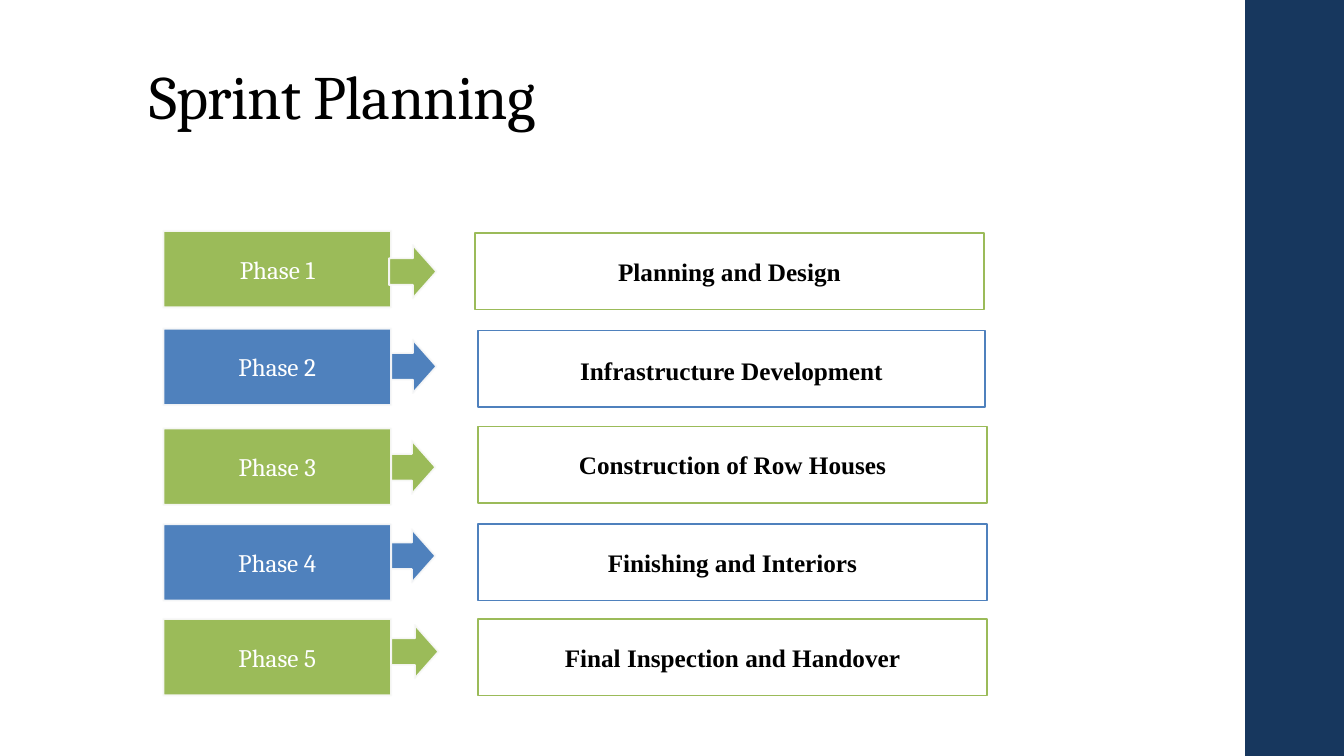
from lxml import etree
from pptx import Presentation
from pptx.dml.color import RGBColor
from pptx.enum.shapes import MSO_SHAPE
from pptx.enum.text import MSO_ANCHOR, MSO_AUTO_SIZE, PP_ALIGN
from pptx.oxml.ns import qn
from pptx.util import Inches, Pt

RECTANGLE = MSO_SHAPE.RECTANGLE
RIGHT_ARROW = MSO_SHAPE.RIGHT_ARROW
CENTER, LEFT = PP_ALIGN.CENTER, PP_ALIGN.LEFT
MIDDLE, BOTTOM = MSO_ANCHOR.MIDDLE, MSO_ANCHOR.BOTTOM

NAVY = RGBColor(0x17, 0x37, 0x5E)
GREEN = RGBColor(0x9B, 0xBB, 0x59)
BLUE = RGBColor(0x4F, 0x81, 0xBD)
OFF_WHITE = RGBColor(0xF9, 0xF9, 0xF9)
WHITE = RGBColor(0xFF, 0xFF, 0xFF)
BLACK = RGBColor(0, 0, 0)

TITLE = "Sprint Planning"
# activity, phase top, arrow (left, top), activity (left, top, width)
PHASES = [
    ("Planning and Design", 2.29, (3.86, 2.43), (4.71, 2.31, 5.05)),
    ("Infrastructure Development", 3.26, (3.86, 3.37), (4.74, 3.28, 5.03)),
    ("Construction of Row Houses", 4.25, (3.85, 4.37), (4.74, 4.23, 5.05)),
    ("Finishing and Interiors", 5.2, (3.85, 5.25), (4.74, 5.2, 5.05)),
    ("Final Inspection and Handover", 6.14, (3.88, 6.2), (4.74, 6.14, 5.05)),
]
PHASE_LEFT, PHASE_WIDTH, BOX_HEIGHT = 1.62, 2.26, 0.76
ARROW_WIDTH, ARROW_HEIGHT = 0.47, 0.53


def add_block(slide, kind, box, fill, line=None, line_width=1.35):
    shape = slide.shapes.add_shape(kind, *[Inches(length) for length in box])
    shape.shadow.inherit = False
    shape.fill.solid()
    shape.fill.fore_color.rgb = fill
    if line is None:
        shape.line.fill.background()
        return shape
    shape.line.color.rgb = line
    shape.line.width = Pt(line_width)
    if line == OFF_WHITE:
        color = shape.line._get_or_add_ln().find(".//" + qn("a:srgbClr"))
        etree.SubElement(color, qn("a:alpha"), val="95000")
    return shape


def write(shape, text, font_name, color, size=18, bold=False, align=CENTER, anchor=MIDDLE):
    frame = shape.text_frame
    frame.text = text
    frame.word_wrap = True
    frame.vertical_anchor = anchor
    paragraph = frame.paragraphs[0]
    paragraph.alignment = align
    font = paragraph.runs[0].font
    font.name, font.size, font.bold = font_name, Pt(size), bold
    font.color.rgb = color
    return paragraph


def add_title(slide):
    title = slide.shapes.title
    title.left, title.top = Inches(1.38), Inches(0.4)
    title.width, title.height = Inches(10.6), Inches(0.97)
    paragraph = write(title, TITLE, "Cambria", BLACK, 44, align=LEFT, anchor=BOTTOM)
    title.text_frame.auto_size = MSO_AUTO_SIZE.NONE
    paragraph.line_spacing = 0.9
    paragraph.runs[0].font._element.set("spc", "-50")


def add_phase(slide, number, activity, phase_top, arrow_place, activity_place):
    color = GREEN if number % 2 else BLUE
    arrow_box = (*arrow_place, ARROW_WIDTH, ARROW_HEIGHT)
    arrow_in_front = number in (1, len(PHASES))
    if not arrow_in_front:
        add_block(slide, RIGHT_ARROW, arrow_box, color, OFF_WHITE)
    phase_box = (PHASE_LEFT, phase_top, PHASE_WIDTH, BOX_HEIGHT)
    phase = add_block(slide, RECTANGLE, phase_box, color, OFF_WHITE)
    write(phase, f"Phase {number}", "Cambria", WHITE)
    if arrow_in_front:
        add_block(slide, RIGHT_ARROW, arrow_box, color, OFF_WHITE)
    activity_box = (*activity_place, BOX_HEIGHT)
    shape = add_block(slide, RECTANGLE, activity_box, WHITE, color, 1.1)
    paragraph = write(shape, activity, "Times New Roman", BLACK, bold=True)
    if number == 2:
        paragraph.line_spacing = 1.07
        paragraph.space_after = Pt(8)


def main():
    presentation = Presentation()
    presentation.slide_width, presentation.slide_height = Inches(13.33), Inches(7.5)
    slide = presentation.slides.add_slide(presentation.slide_layouts[5])
    add_block(slide, RECTANGLE, (12.35, 0, 0.98, 7.5), NAVY)
    add_title(slide)
    for number, phase in enumerate(PHASES, 1):
        add_phase(slide, number, *phase)
    presentation.save("out.pptx")


if __name__ == "__main__":
    main()
